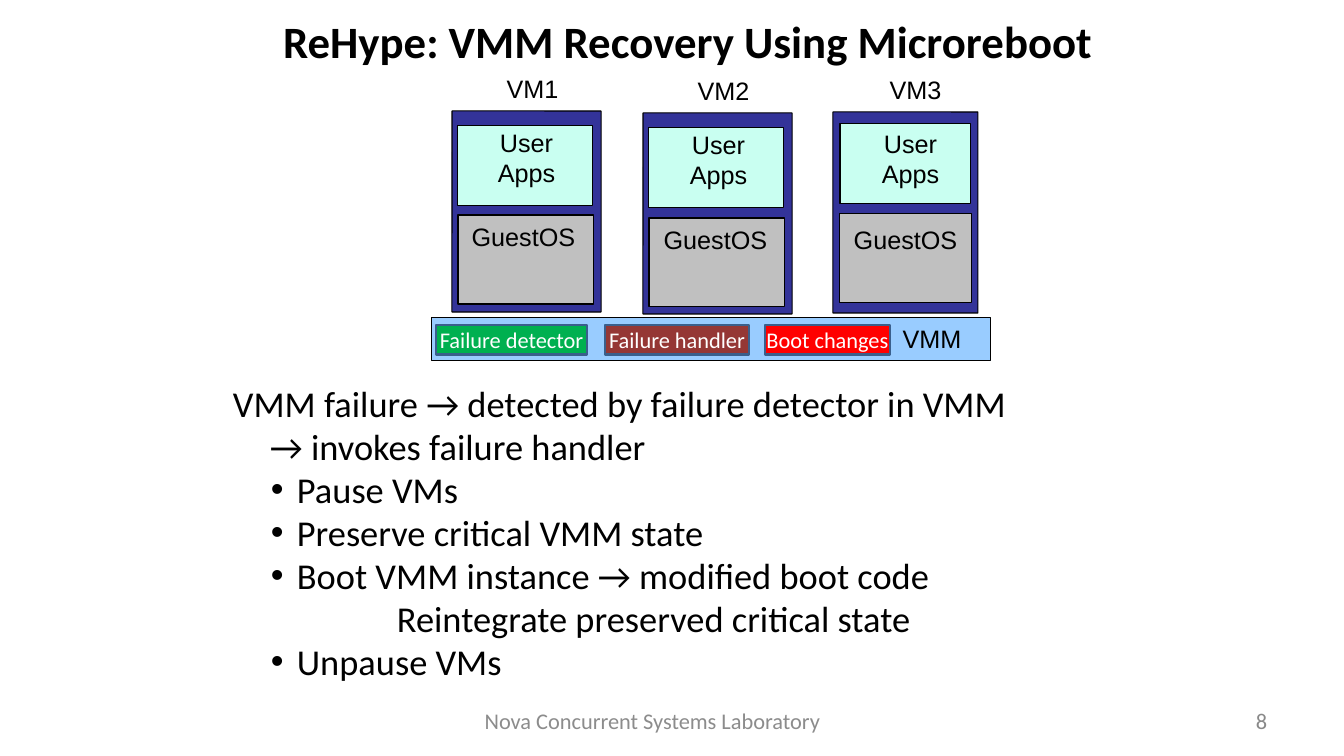
from dataclasses import dataclass

import pptx
import pptx.dml.color
import pptx.enum.shapes
import pptx.enum.text
import pptx.oxml.ns
import pptx.presentation
import pptx.shapes.autoshape
import pptx.slide
import pptx.text.text
import pptx.util
from lxml import etree

EMU_PER_PX = 914400 / 100.8
RECTANGLE = pptx.enum.shapes.MSO_SHAPE.RECTANGLE
ROUNDED = pptx.enum.shapes.MSO_SHAPE.ROUNDED_RECTANGLE
TOP = pptx.enum.text.MSO_ANCHOR.TOP
MIDDLE = pptx.enum.text.MSO_ANCHOR.MIDDLE
LEFT = pptx.enum.text.PP_ALIGN.LEFT
CENTER = pptx.enum.text.PP_ALIGN.CENTER
RIGHT = pptx.enum.text.PP_ALIGN.RIGHT
BLACK = "000000"


@dataclass(frozen=True)
class Box:
    left: int
    top: int
    width: int
    height: int

    def lengths(self) -> list[pptx.util.Emu]:
        return [px(value) for value in (self.left, self.top, self.width, self.height)]


@dataclass(frozen=True)
class Style:
    size: int
    font: str = "Calibri"
    color: str = BLACK
    bold: bool = False
    align: int = CENTER


@dataclass(frozen=True)
class VirtualMachine:
    name: str
    frame: Box
    inset: int
    apps_top: int
    guest_top: int
    guest_label_top: int
    name_center: int
    apps_center: int
    guest_center: int


@dataclass(frozen=True)
class Component:
    label: str
    left: int
    width: int
    fill: str


@dataclass(frozen=True)
class Step:
    text: str
    level: int = 1
    margin: int = 64
    bullet: bool = False


DIAGRAM_STYLE = Style(18, "Arial")
COMPONENT_STYLE = Style(16, color="FFFFFF")
BODY_STYLE = Style(26, align=LEFT)
BULLET_HANG = 26

MACHINES = [
    VirtualMachine("VM2", Box(643, 113, 149, 201), 6, 128, 218, 219, 723, 718, 715),
    VirtualMachine("VM3", Box(833, 112, 145, 201), 7, 124, 214, 219, 915, 910, 905),
    VirtualMachine("VM1", Box(452, 111, 149, 201), 6, 126, 215, 216, 532, 526, 523),
]
COMPONENTS = [
    Component("Failure detector", 436, 151, "00B050"),
    Component("Failure handler", 605, 144, "953735"),
    Component("Boot changes", 765, 125, "FF0000"),
]
STEPS = [
    Step("VMM failure → detected by failure detector in VMM", 0, 0),
    Step("→ invokes failure handler", margin=37),
    Step("Pause VMs", bullet=True),
    Step("Preserve critical VMM state", bullet=True),
    Step("Boot VMM instance → modified boot code", bullet=True),
    Step("Reintegrate preserved critical state", 2, 164),
    Step("Unpause VMs", bullet=True),
]


def px(value: float) -> pptx.util.Emu:
    return pptx.util.Emu(round(value * EMU_PER_PX))


def rgb(color: str) -> pptx.dml.color.RGBColor:
    return pptx.dml.color.RGBColor.from_string(color)


def write(paragraph: pptx.text.text._Paragraph, text: str, style: Style) -> None:
    paragraph.alignment = style.align
    run = paragraph.add_run()
    run.text = text
    run.font.name = style.font
    run.font.size = pptx.util.Pt(style.size)
    run.font.bold = style.bold
    run.font.color.rgb = rgb(style.color)


def write_lines(frame: pptx.text.text.TextFrame, lines: list[str], style: Style) -> None:
    for index, line in enumerate(lines):
        write(frame.add_paragraph() if index else frame.paragraphs[0], line, style)


def add_text(slide: pptx.slide.Slide, box: Box, lines: list[str], style: Style,
             anchor: int = TOP, wrap: bool = True, grow: bool = False) -> None:
    frame = slide.shapes.add_textbox(*box.lengths()).text_frame
    frame.word_wrap = wrap
    frame.vertical_anchor = anchor
    if grow:
        frame.auto_size = pptx.enum.text.MSO_AUTO_SIZE.SHAPE_TO_FIT_TEXT
    write_lines(frame, lines, style)


def add_block(slide: pptx.slide.Slide, box: Box, fill: str, line: str = BLACK,
              weight: float = 0.75, kind: int = RECTANGLE) -> pptx.shapes.autoshape.Shape:
    shape = slide.shapes.add_shape(kind, *box.lengths())
    shape.shadow.inherit = False
    shape.fill.solid()
    shape.fill.fore_color.rgb = rgb(fill)
    shape.line.color.rgb = rgb(line)
    shape.line.width = pptx.util.Pt(weight)
    return shape


def add_label(slide: pptx.slide.Slide, center: int, top: int, width: int, lines: list[str],
              wrap: bool = True) -> None:
    box = Box(center - width // 2, top, width, 11 + 30 * len(lines))
    add_text(slide, box, lines, DIAGRAM_STYLE, wrap=wrap, grow=True)


def add_machine(slide: pptx.slide.Slide, machine: VirtualMachine) -> None:
    frame = machine.frame
    inner_left = frame.left + machine.inset
    inner_width = frame.width - 13
    outline = add_block(slide, frame, "333399", kind=ROUNDED)
    outline.adjustments[0] = 0.001
    add_block(slide, Box(inner_left, machine.guest_top, inner_width, 89), "C0C0C0")
    add_block(slide, Box(inner_left, machine.apps_top, inner_width - 1, 80), "C9FFF1")
    add_label(slide, machine.guest_center, machine.guest_label_top, frame.width - 4, ["GuestOS"])
    add_label(slide, machine.apps_center, frame.top + 11, frame.width + 8, ["User", "Apps"])
    add_label(slide, machine.name_center, frame.top - 43, 73, [machine.name], wrap=False)


def add_component(slide: pptx.slide.Slide, component: Component) -> None:
    box = Box(component.left, 325, component.width, 30)
    frame = add_block(slide, box, component.fill, "3A5F8C", 2).text_frame
    frame.margin_left = frame.margin_right = frame.margin_top = frame.margin_bottom = 0
    frame.word_wrap = True
    frame.vertical_anchor = MIDDLE
    write_lines(frame, [component.label], COMPONENT_STYLE)


def add_steps(slide: pptx.slide.Slide, box: Box, steps: list[Step]) -> None:
    frame = slide.shapes.add_textbox(*box.lengths()).text_frame
    frame.word_wrap = True
    for index, step in enumerate(steps):
        paragraph = frame.add_paragraph() if index else frame.paragraphs[0]
        write(paragraph, step.text, BODY_STYLE)
        paragraph.level = step.level
        paragraph.line_spacing = 0.9
        paragraph.space_before = pptx.util.Pt(2.6)
        properties = paragraph._p.get_or_add_pPr()
        properties.set("marL", str(px(step.margin)))
        properties.set("indent", str(px(-BULLET_HANG if step.bullet else 0)))
        if step.bullet:
            font = etree.SubElement(properties, pptx.oxml.ns.qn("a:buFont"))
            font.set("typeface", "Arial")
            bullet = etree.SubElement(properties, pptx.oxml.ns.qn("a:buChar"))
            bullet.set("char", "•")


def main() -> None:
    """Build the slide on virtual machine monitor recovery and save it."""
    presentation = pptx.Presentation()
    presentation.slide_width = px(1344)
    presentation.slide_height = px(756)
    slide = presentation.slides.add_slide(presentation.slide_layouts[6])
    add_text(slide, Box(173, 14, 1030, 53), ["ReHype: VMM Recovery Using Microreboot"],
             Style(32, bold=True), MIDDLE)
    add_steps(slide, Box(223, 381, 930, 351), STEPS)
    add_block(slide, Box(432, 318, 559, 43), "99CCFF")
    add_label(slide, 932, 318, 80, ["VMM"], wrap=False)
    for machine in MACHINES:
        add_machine(slide, machine)
    for component in COMPONENTS:
        add_component(slide, component)
    add_text(slide, Box(440, 701, 425, 40), ["Nova Concurrent Systems Laboratory"],
             Style(16, color="8C8C8C"), MIDDLE)
    add_text(slide, Box(964, 701, 313, 40), ["8"],
             Style(16, color="898989", align=RIGHT), MIDDLE)
    presentation.save("out.pptx")


if __name__ == "__main__":
    main()
